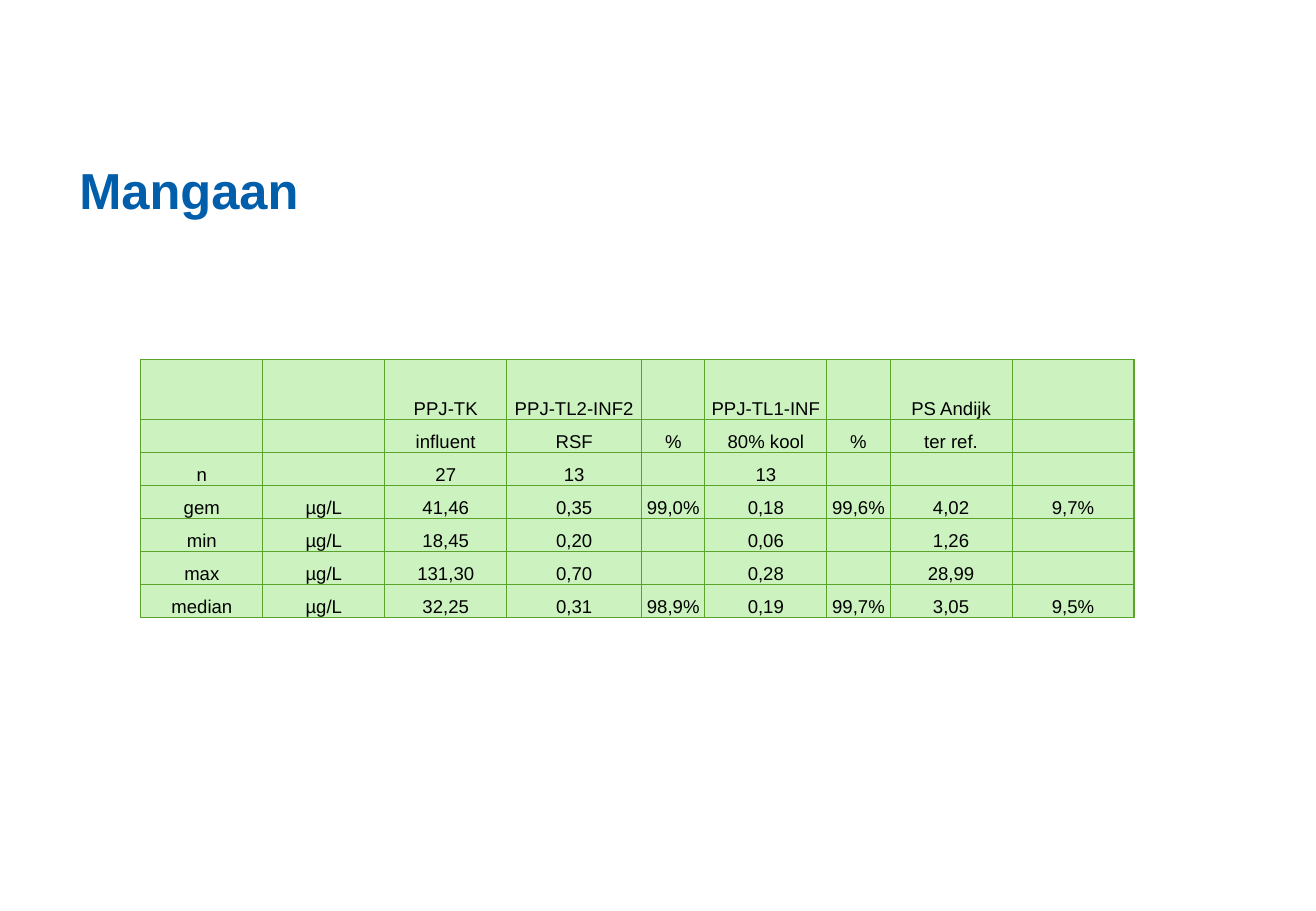
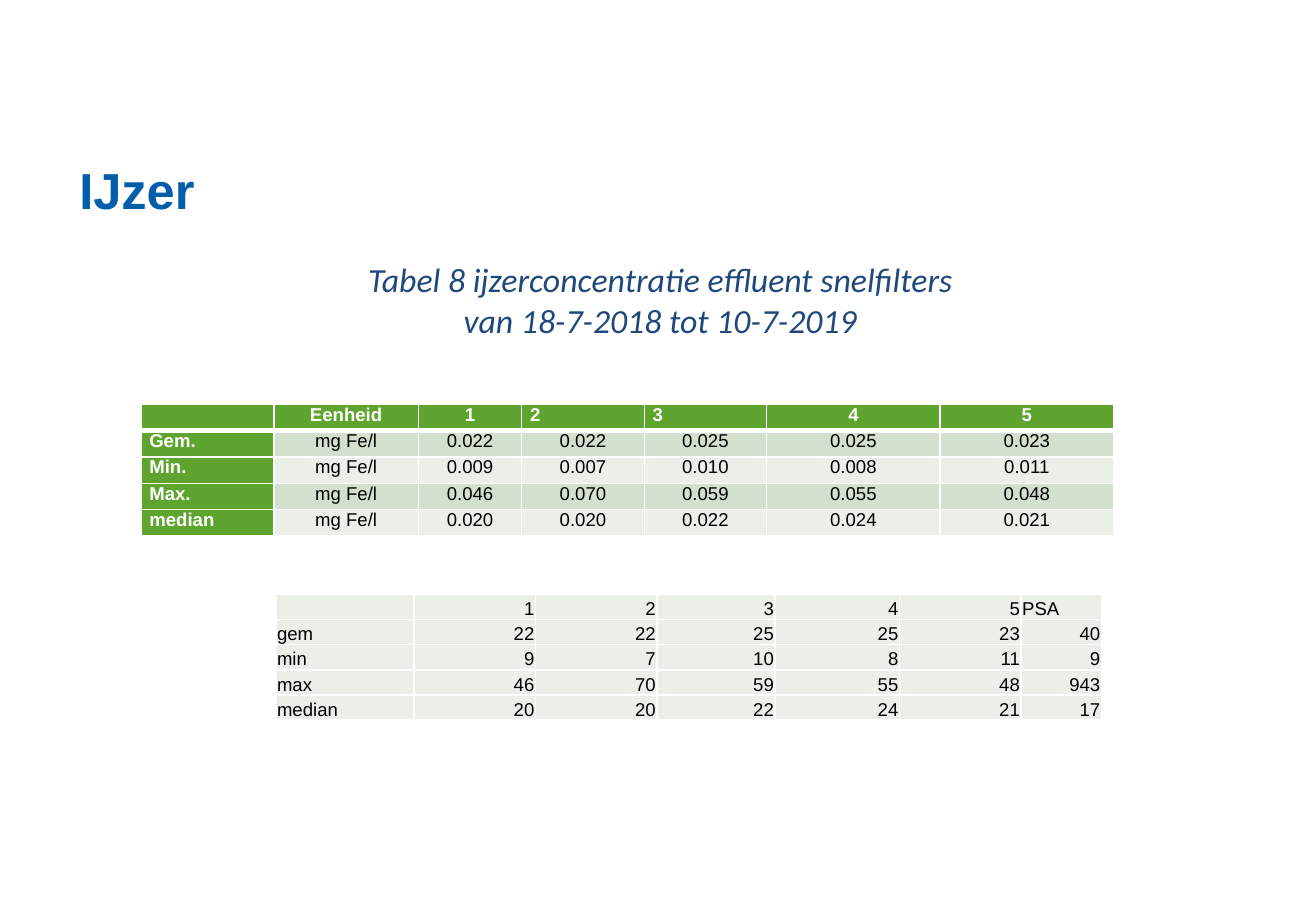
from lxml import etree
from pptx import Presentation
from pptx.dml.color import RGBColor
from pptx.enum.text import MSO_ANCHOR, PP_ALIGN
from pptx.oxml.ns import qn
from pptx.util import Pt

TOP, BOTTOM = MSO_ANCHOR.TOP, MSO_ANCHOR.BOTTOM
ALIGN = {"L": PP_ALIGN.LEFT, "C": PP_ALIGN.CENTER, "R": PP_ALIGN.RIGHT}

THEME = {
    "blue": "005EAA", "navy": "1F497D", "black": "000000", "white": "FFFFFF",
    "green": "5EA42F", "line": "5BA32B", "mint": "CCF3BF",
    "sage": "D2E0CD", "pale": "EAF0E8",
    "sans": "Arial", "serif": "Calibri",
    "title": 30, "caption": 20, "cell": 11,
}


def write(para, text, size, color, font="sans", **style):
    run = para.add_run()
    run.text = text
    run.font.color.rgb = RGBColor.from_string(THEME[color])
    values = {"size": Pt(THEME[size]), "name": THEME[font], **style}
    for name, value in values.items():
        setattr(run.font, name, value)


def add_grid(slide, spec):
    """Add a table whose cells follow the format values in spec."""
    data = [row.split("|") for row in spec["data"]]
    cols, rows = spec["cols"], spec["rows"]
    frame = slide.shapes.add_table(
        len(rows), len(cols), Pt(spec["left"]), Pt(spec["top"]),
        Pt(sum(cols)), Pt(sum(rows)))
    table = frame.table
    table.first_row = table.horz_banding = False
    for col, width in zip(table.columns, cols):
        col.width = Pt(width)
    for row, height in zip(table.rows, rows):
        row.height = Pt(height)

    side, edge = spec["inset"]
    for r, texts in enumerate(data):
        for c, text in enumerate(texts):
            cell = table.cell(r, c)
            accent = spec["accent"] and (r == 0 or c == 0)
            for name, value in {
                "margin_left": Pt(side), "margin_right": Pt(side),
                "margin_top": Pt(edge), "margin_bottom": Pt(0),
                "vertical_anchor": spec["anchor"],
            }.items():
                setattr(cell, name, value)

            for tag in ("lnL", "lnR", "lnT", "lnB"):
                heavy = spec["accent"] and (r, tag) in ((0, "lnB"), (1, "lnT"))
                width = Pt(3 if heavy else spec["width"])
                line = etree.SubElement(
                    cell._tc.get_or_add_tcPr(), qn("a:" + tag), w=str(int(width)))
                fill = etree.SubElement(line, qn("a:solidFill"))
                etree.SubElement(fill, qn("a:srgbClr"), val=THEME[spec["line"]])
            cell.fill.solid()
            tint = "green" if accent else spec["fills"][r % len(spec["fills"])]
            cell.fill.fore_color.rgb = RGBColor.from_string(THEME[tint])

            para = cell.text_frame.paragraphs[0]
            para.alignment = ALIGN[spec["head" if r == 0 else "body"][c]]
            if text:
                write(para, text, "cell", "white" if accent else "black", bold=accent)
            else:
                etree.SubElement(para._p, qn("a:endParaRPr"),
                                 sz=str(THEME["cell"] * 100))


flat = {"inset": (0.7, 0.7), "anchor": BOTTOM, "accent": False}
mangaan = {
    **flat, "left": 83.5, "top": 213, "line": "line", "width": 0.75,
    "cols": [72.3, 72.3, 72.3, 80, 37.5, 72.3, 37.5, 72.3, 72.3],
    "rows": [35.5] + [19.6] * 6,
    "head": "C" * 9, "body": "C" * 9, "fills": ["mint"],
    "data": [
        "||PPJ-TK|PPJ-TL2-INF2||PPJ-TL1-INF||PS Andijk|",
        "||influent|RSF|%|80% kool|%|ter ref.|",
        "n||27|13||13|||",
        "gem|µg/L|41,46|0,35|99,0%|0,18|99,6%|4,02|9,7%",
        "min|µg/L|18,45|0,20||0,06||1,26|",
        "max|µg/L|131,30|0,70||0,28||28,99|",
        "median|µg/L|32,25|0,31|98,9%|0,19|99,7%|3,05|9,5%",
    ],
}
filters = {
    "left": 83.5, "top": 239.7, "line": "white", "width": 1,
    "inset": (5, 0), "anchor": TOP, "accent": True,
    "cols": [78.8, 85.8, 61.2, 72.6, 72.6, 102.8, 102.8],
    "rows": [15.6] * 5,
    "head": "LCCLLCC", "body": "LCCCCCC", "fills": ["pale", "sage"],
    "data": [
        "|Eenheid|1|2|3|4|5",
        "Gem.|mg Fe/l|0.022|0.022|0.025|0.025|0.023",
        "Min.|mg Fe/l|0.009|0.007|0.010|0.008|0.011",
        "Max.|mg Fe/l|0.046|0.070|0.059|0.055|0.048",
        "median|mg Fe/l|0.020|0.020|0.022|0.024|0.021",
    ],
}
micro = {
    **flat, "left": 163.5, "top": 352.4, "line": "white", "width": 1,
    "cols": [81.9, 72, 72, 70, 73.8, 72, 47.7],
    "rows": [14.9] * 5,
    "head": "LRRRRRL", "body": "LRRRRRR", "fills": ["pale"],
    "data": [
        "|1|2|3|4|5|PSA",
        "gem|22|22|25|25|23|40",
        "min|9|7|10|8|11|9",
        "max|46|70|59|55|48|943",
        "median|20|20|22|24|21|17",
    ],
}

deck = Presentation()
deck.slide_width, deck.slide_height = Pt(780), Pt(540)

for title, grids in (("Mangaan", [mangaan]), ("IJzer", [micro, filters])):
    slide = deck.slides.add_slide(deck.slide_layouts[6])
    box = slide.shapes.add_textbox(Pt(39), Pt(44), Pt(702), Pt(90))
    frame = box.text_frame
    for name, value in {
        "word_wrap": True, "vertical_anchor": BOTTOM,
        "margin_left": Pt(8), "margin_right": Pt(8),
        "margin_top": Pt(4), "margin_bottom": Pt(4),
    }.items():
        setattr(frame, name, value)
    write(frame.paragraphs[0], title, "title", "blue", bold=True)
    for grid in grids:
        add_grid(slide, grid)

caption = slide.shapes.add_textbox(Pt(195), Pt(150), Pt(393), Pt(55.5))
caption.text_frame.word_wrap = True
para = caption.text_frame.paragraphs[0]
para.alignment = ALIGN["C"]
para.space_after = Pt(10)
write(para, "Tabel 8 ijzerconcentratie effluent snelfilters van 18-7-2018 tot 10-7-2019",
      "caption", "navy", "serif", italic=True)

deck.save("out.pptx")
